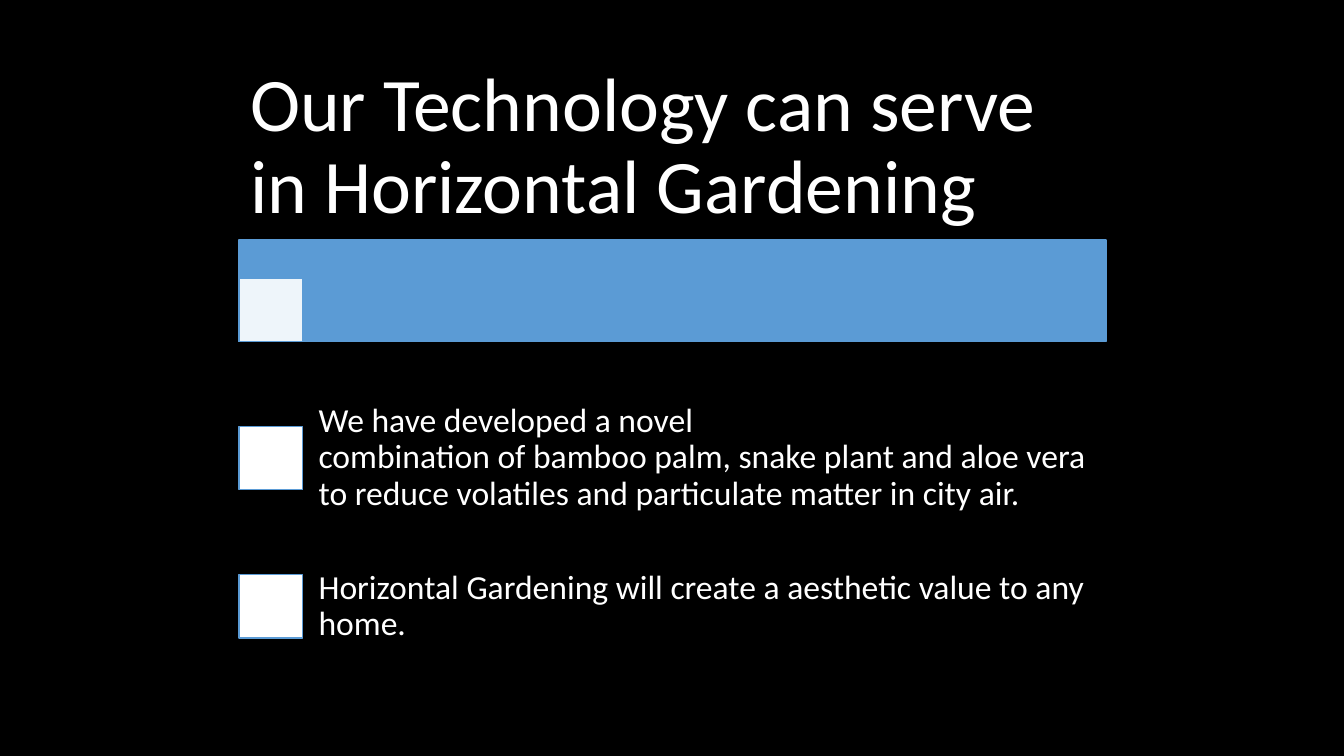
from lxml.etree import SubElement
from pptx import Presentation
from pptx.dml.color import RGBColor
from pptx.enum.shapes import MSO_SHAPE
from pptx.enum.text import MSO_ANCHOR
from pptx.oxml.ns import qn
from pptx.util import Emu, Pt

SCALE = 9144  # EMU per px, 100 px to the inch
BLACK, WHITE, BLUE = "000000", "FFFFFF", "5B9BD5"
MARKER = 63


def px(n):
    return Emu(n * SCALE)


def color(hex_string):
    return RGBColor.from_string(hex_string)


def add_rect(s, x, y, w, h, fill, alpha=None):
    sp = s.shapes.add_shape(MSO_SHAPE.RECTANGLE, px(x), px(y), px(w), px(h))
    sp.shadow.inherit = False
    sp.fill.solid()
    sp.fill.fore_color.rgb = color(fill)
    sp.line.color.rgb = color(BLUE)
    sp.line.width = Pt(1)
    if alpha is not None:
        clr = sp.fill._xPr.find(".//" + qn("a:srgbClr"))
        SubElement(clr, qn("a:alpha")).set("val", str(alpha * 1000))


def add_text(s, x, y, w, h, text, size=24, inset_x=19, inset_y=19):
    tf = s.shapes.add_textbox(px(x), px(y), px(w), px(h)).text_frame
    tf.word_wrap = True
    tf.vertical_anchor = MSO_ANCHOR.MIDDLE
    tf.margin_left = tf.margin_right = px(inset_x)
    tf.margin_top = tf.margin_bottom = px(inset_y)
    p = tf.paragraphs[0]
    p.line_spacing = 0.9
    p.text = text
    for r in p.runs:
        r.font.size = Pt(size)
        r.font.name = "Calibri"
        r.font.color.rgb = color(WHITE)


def add_header(s, x, y, w, title_h, bar_h, title):
    """Title above a blue bar with a marker in its lower left corner."""
    bar_y = y + title_h
    add_rect(s, x, bar_y, w, bar_h, BLUE)
    add_rect(s, x, bar_y + bar_h - MARKER, MARKER, MARKER, WHITE, alpha=90)
    add_text(s, x, y, w, title_h, title, size=54, inset_x=11, inset_y=7)


def add_points(s, x, y, w, row_h, points):
    """Rows of a square marker followed by text."""
    indent = 60
    for i, point in enumerate(points):
        row_y = y + i * row_h
        add_rect(s, x, row_y + (row_h - MARKER) // 2, MARKER, MARKER, WHITE)
        add_text(s, x + indent, row_y, w - indent, row_h, point)


def main():
    prs = Presentation()
    prs.slide_width, prs.slide_height = px(1333), px(750)
    s = prs.slides.add_slide(prs.slide_layouts[6])
    s.background.fill.solid()
    s.background.fill.fore_color.rgb = color(BLACK)

    left, width = 237, 860
    add_header(s, left, 56, width, 182, 101,
               "Our Technology can serve in Horizontal Gardening")
    add_points(s, left, 381, width, 147, [
        "We have developed a novel\ncombination of bamboo palm, snake plant and "
        "aloe vera to reduce volatiles and particulate matter in city air.",
        "Horizontal Gardening will create a aesthetic value to any home.",
    ])
    prs.save("out.pptx")


if __name__ == "__main__":
    main()
